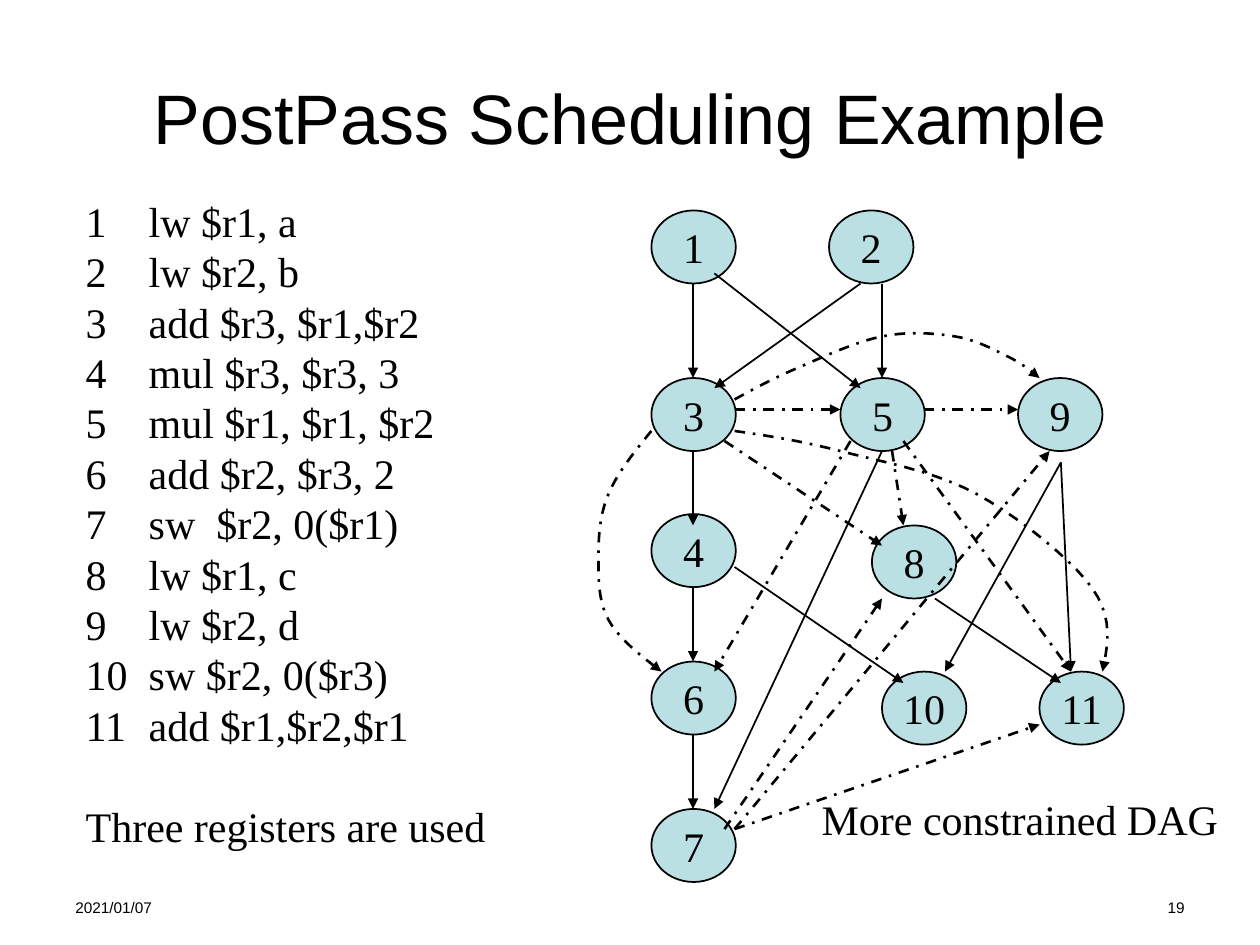
from dataclasses import dataclass

from lxml.etree import SubElement
from pptx import Presentation
from pptx.dml.color import RGBColor
from pptx.enum.dml import MSO_LINE
from pptx.enum.shapes import MSO_CONNECTOR, MSO_SHAPE
from pptx.enum.text import MSO_ANCHOR, MSO_AUTO_SIZE, PP_ALIGN
from pptx.oxml.ns import qn
from pptx.util import Inches, Pt


@dataclass(frozen=True)
class Theme:
    """Colours, fonts and sizes of the slide."""

    ink: RGBColor = RGBColor(0x00, 0x00, 0x00)
    node: RGBColor = RGBColor(0xBB, 0xE0, 0xE3)
    sans: str = "Arial"
    serif: str = "Times New Roman"
    title: float = 40
    body: float = 24
    footer: float = 8.8
    body_leading: float = 28.8
    solid: float = 1
    dashed: float = 1.5


THEME = Theme()
NODE_WIDTH, NODE_HEIGHT = 0.67, 0.58
FIRST_AUTO_NUMBER = 6
CURVE_STEPS = 10

INSTRUCTIONS = [
    "lw $r1, a", "lw $r2, b", "add $r3, $r1,$r2", "mul $r3, $r3, 3",
    "mul $r1, $r1, $r2", "add $r2, $r3, 2", "sw  $r2, 0($r1)",
    "lw $r1, c", "lw $r2, d", "sw $r2, 0($r3)", "add $r1,$r2,$r1",
]
NODES = {
    1: (5.17, 1.67), 2: (6.58, 1.67), 3: (5.17, 3), 4: (5.17, 4.08),
    5: (6.67, 3), 6: (5.17, 5.25), 7: (5.17, 6.42), 8: (6.92, 4.17),
    9: (8.08, 3), 10: (7, 5.33), 11: (8.25, 5.33),
}
TRUE_DEPENDENCES = [
    ((5.5, 2.25), (5.5, 3)), ((6.83, 2.25), (5.67, 3.08)),
    ((5.67, 2.17), (6.83, 3.08)), ((7, 2.25), (7, 3)),
    ((5.5, 3.58), (5.5, 4.17)), ((5.5, 4.67), (5.5, 5.25)),
    ((5.5, 5.83), (5.5, 6.42)), ((7, 3.58), (5.67, 6.42)),
    ((5.83, 4.5), (7.17, 5.42)), ((8.42, 3.67), (7.5, 5.33)),
    ((7.42, 4.75), (8.42, 5.42)), ((8.42, 3.67), (8.5, 5.33)),
]
REUSE_DEPENDENCES = [
    ((5.83, 3.25), (6.67, 3.25)), ((6.75, 3.5), (5.67, 5.33)),
    ((5.75, 3.5), (7, 4.33)), ((7.08, 3.58), (7.17, 4.17)),
    ((7.33, 3.25), (8.08, 3.25)), ((5.83, 6.58), (8.25, 5.75)),
    ((7.17, 3.5), (8.5, 5.33)), ((5.75, 6.58), (7, 4.75)),
    ((5.83, 6.58), (8.33, 3.58)),
]
CURVED_DEPENDENCES = [
    [(5.17, 3.42), (4.83, 3.92), (4.75, 4.42), (4.83, 4.92), (5.25, 5.33)],
    [(5.83, 3.17), (6.33, 2.92), (7, 2.67), (7.58, 2.67), (8, 2.83), (8.25, 3)],
    [(5.83, 3.42), (6.67, 3.58), (7.75, 3.92), (8.67, 4.67), (8.75, 5.33)],
]


def place(shape, left, top, width, height):
    """Move and size a shape, in inches."""
    shape.left, shape.top = Inches(left), Inches(top)
    shape.width, shape.height = Inches(width), Inches(height)


def format_paragraph(paragraph, font, size, align=PP_ALIGN.LEFT, leading=None):
    """Set the alignment, line pitch and font of a paragraph."""
    paragraph.alignment = align
    paragraph.space_before = Pt(0)
    if leading:
        paragraph.line_spacing = Pt(leading)
    for run in paragraph.runs:
        run.font.name, run.font.size = font, Pt(size)
        run.font.color.rgb = THEME.ink


def format_body(paragraph, align=PP_ALIGN.LEFT):
    """Give a paragraph the serif body style."""
    format_paragraph(paragraph, THEME.serif, THEME.body, align, THEME.body_leading)


def add_label(slide, text, box, font, size, align):
    """Add a one-line text box."""
    label = slide.shapes.add_textbox(*map(Inches, box))
    label.text_frame.word_wrap = True
    label.text_frame.text = text
    format_paragraph(label.text_frame.paragraphs[0], font, size, align)
    return label


def set_title(slide, text):
    """Fill the title placeholder."""
    title = slide.shapes.title
    place(title, 0.5, 0.3, 9, 1.25)
    title.text_frame.text = text
    title.text_frame.vertical_anchor = MSO_ANCHOR.MIDDLE
    format_paragraph(title.text_frame.paragraphs[0], THEME.sans, THEME.title, PP_ALIGN.CENTER)


def set_numbering(paragraph, start=None):
    """Set a hanging indent with automatic numbers or without a bullet."""
    properties = paragraph._p.get_or_add_pPr()
    properties.set("marL", str(Inches(0.5)))
    properties.set("indent", str(-Inches(0.5)))
    if start:
        SubElement(properties, qn("a:buFont"), typeface=THEME.serif)
        SubElement(properties, qn("a:buAutoNum"), type="arabicPlain", startAt=str(start))
    else:
        SubElement(properties, qn("a:buNone"))


def set_listing(slide, instructions, remark):
    """Fill the body placeholder with the numbered code and its remark."""
    listing = slide.placeholders[1]
    place(listing, 0.58, 1.5, 4.37, 5.3)
    frame = listing.text_frame
    frame.auto_size = MSO_AUTO_SIZE.NONE
    typed = [f"{number}\t{code}" for number, code in enumerate(instructions[:FIRST_AUTO_NUMBER - 1], 1)]
    automatic = instructions[FIRST_AUTO_NUMBER - 1:]
    frame.text = "\n".join([*typed, *automatic, remark])
    for index, paragraph in enumerate(frame.paragraphs, 1):
        format_body(paragraph)
        numbered = FIRST_AUTO_NUMBER <= index <= len(instructions)
        set_numbering(paragraph, FIRST_AUTO_NUMBER if numbered else None)
    frame.paragraphs[-1].space_before = Pt(THEME.body_leading)


def add_node(slide, number, left, top):
    """Add one numbered instruction node."""
    node = slide.shapes.add_shape(
        MSO_SHAPE.OVAL, *map(Inches, (left, top, NODE_WIDTH, NODE_HEIGHT)))
    node.shadow.inherit = False
    node.fill.solid()
    node.fill.fore_color.rgb = THEME.node
    node.line.color.rgb = THEME.ink
    node.line.width = Pt(THEME.solid)
    frame = node.text_frame
    frame.word_wrap = False
    frame.vertical_anchor = MSO_ANCHOR.MIDDLE
    frame.text = str(number)
    format_body(frame.paragraphs[0], PP_ALIGN.CENTER)


def style_arrow(line, dashed):
    """Style a line as a solid or dash-dot arrow."""
    line.color.rgb = THEME.ink
    line.width = Pt(THEME.dashed if dashed else THEME.solid)
    if dashed:
        line.dash_style = MSO_LINE.DASH_DOT
    SubElement(line._get_or_add_ln(), qn("a:tailEnd"), type="triangle")


def add_arrow(slide, start, end, dashed):
    """Add a straight dependence arrow."""
    arrow = slide.shapes.add_connector(MSO_CONNECTOR.STRAIGHT, *map(Inches, start + end))
    style_arrow(arrow.line, dashed)
    SubElement(arrow._element.spPr, qn("a:effectLst"))


def smooth(anchors):
    """Return points on a smooth curve through the anchors."""
    padded = [anchors[0], *anchors, anchors[-1]]
    points = [anchors[0]]
    for before, start, end, after in zip(padded, padded[1:], padded[2:], padded[3:]):
        leave = [s + (e - b) / 6 for b, s, e in zip(before, start, end)]
        arrive = [e - (a - s) / 6 for s, e, a in zip(start, end, after)]
        if before == start:
            leave = [(s + c) / 2 for s, c in zip(start, arrive)]
        if after == end:
            arrive = [(e + c) / 2 for e, c in zip(end, leave)]
        for step in range(1, CURVE_STEPS + 1):
            t = step / CURVE_STEPS
            weights = ((1 - t) ** 3, 3 * t * (1 - t) ** 2, 3 * t * t * (1 - t), t ** 3)
            points.append(tuple(
                sum(w * c for w, c in zip(weights, axis))
                for axis in zip(start, leave, arrive, end)))
    return points


def add_curve(slide, anchors):
    """Add a curved dash-dot dependence arrow."""
    first, *rest = [tuple(map(Inches, point)) for point in smooth(anchors)]
    builder = slide.shapes.build_freeform(*first)
    builder.add_line_segments(rest, close=False)
    curve = builder.convert_to_shape()
    curve.shadow.inherit = False
    curve.fill.background()
    style_arrow(curve.line, True)


def main():
    """Build and save the slide."""
    deck = Presentation()
    deck.slide_width, deck.slide_height = Inches(10), Inches(7.5)
    slide = deck.slides.add_slide(deck.slide_layouts[1])
    set_title(slide, "PostPass Scheduling Example")
    set_listing(slide, INSTRUCTIONS, "Three registers are used")
    for number, corner in NODES.items():
        add_node(slide, number, *corner)
    for dashed, edges in ((False, TRUE_DEPENDENCES), (True, REUSE_DEPENDENCES)):
        for start, end in edges:
            add_arrow(slide, start, end, dashed)
    for anchors in CURVED_DEPENDENCES:
        add_curve(slide, anchors)
    caption = add_label(slide, "More constrained DAG", (6.38, 6.25, 3.43, 0.5),
                        THEME.serif, THEME.body, PP_ALIGN.CENTER)
    format_body(caption.text_frame.paragraphs[0], PP_ALIGN.CENTER)
    for text, left, align in (("2021/01/07", 0.5, PP_ALIGN.LEFT), ("19", 7.17, PP_ALIGN.RIGHT)):
        add_label(slide, text, (left, 7.08, 2.33, 0.27), THEME.sans, THEME.footer, align)
    deck.save("out.pptx")


if __name__ == "__main__":
    main()
